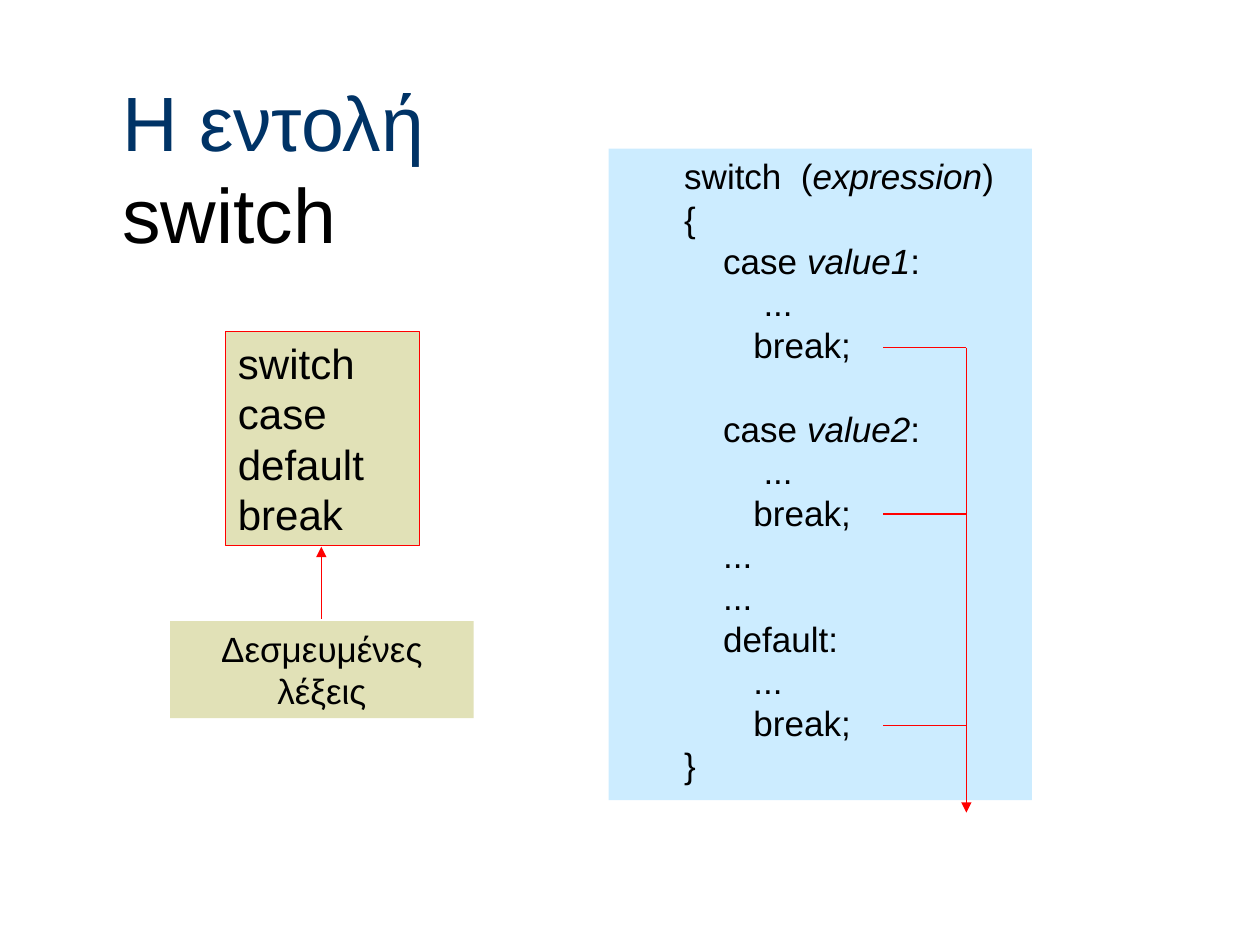
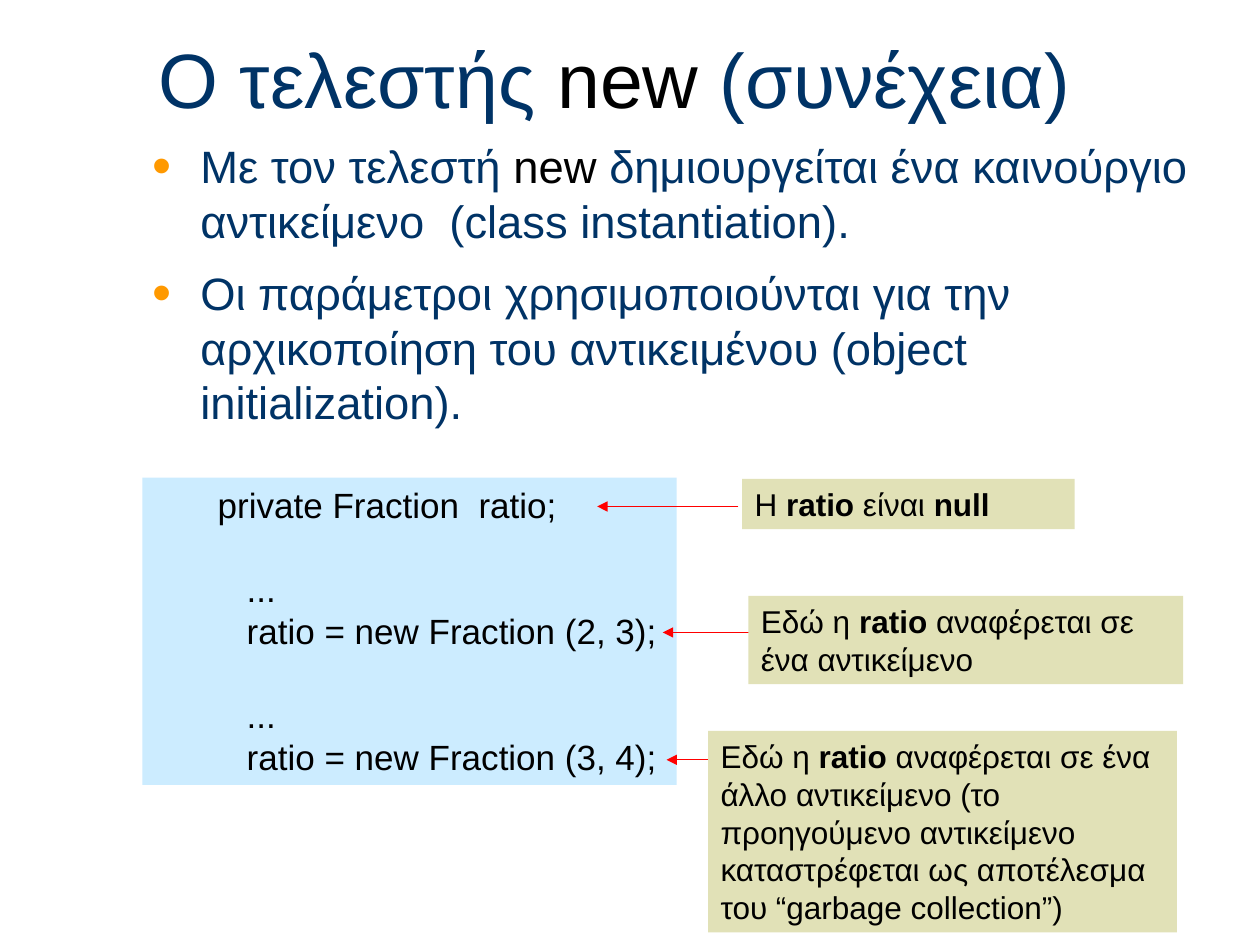
from lxml import etree
from pptx import Presentation
from pptx.dml.color import RGBColor
from pptx.enum.shapes import MSO_CONNECTOR, MSO_SHAPE
from pptx.enum.text import MSO_ANCHOR, MSO_AUTO_SIZE, PP_ALIGN
from pptx.oxml.ns import qn
from pptx.util import Inches, Pt

RECTANGLE, STRAIGHT = MSO_SHAPE.RECTANGLE, MSO_CONNECTOR.STRAIGHT
TOP, MIDDLE = MSO_ANCHOR.TOP, MSO_ANCHOR.MIDDLE
LEFT, CENTER = PP_ALIGN.LEFT, PP_ALIGN.CENTER
NO_AUTOFIT = MSO_AUTO_SIZE.NONE

# Shared look
FONT = "Arial"
NAVY, BLACK, RED, ORANGE = "003366", "000000", "FF0000", "FF9900"
CODE_FILL, NOTE_FILL = "CCECFF", "E1E1B7"
TITLE_SIZE, LIST_SIZE, CODE_SIZE, NOTE_SIZE, KEYWORD_SIZE = 44, 25.9, 20, 18, 24
LINE_HEIGHT = 1.2
BOLD, ITALIC, IN_BLACK = {"bold": True}, {"italic": True}, {"color": BLACK}


def rgb(value):
    return RGBColor.from_string(value)


def apply_format(target, values):
    for name, value in values.items():
        setattr(target, name, value)


def place(shape, box):
    names = ("left", "top", "width", "height")
    apply_format(shape, {name: Inches(value) for name, value in zip(names, box)})


def prepare_frame(shape, anchor=TOP):
    frame = shape.text_frame
    apply_format(frame, {
        "word_wrap": True, "auto_size": NO_AUTOFIT, "vertical_anchor": anchor,
        "margin_left": Inches(0.1), "margin_right": Inches(0.1),
        "margin_top": Inches(0.05), "margin_bottom": Inches(0.05),
    })
    return frame


def set_indent(paragraph, margin, hanging=0):
    properties = paragraph._p.get_or_add_pPr()
    properties.set("marL", str(Inches(margin)))
    properties.set("indent", str(Inches(-hanging)))
    return properties


def add_bullet(properties):
    color = etree.SubElement(properties, qn("a:buClr"))
    etree.SubElement(color, qn("a:srgbClr"), val=ORANGE)
    etree.SubElement(properties, qn("a:buSzPct"), val="120000")
    etree.SubElement(properties, qn("a:buFont"), typeface=FONT)
    etree.SubElement(properties, qn("a:buChar"), char="•")


def write_paragraph(paragraph, runs, size, color=BLACK, align=LEFT, before=0):
    """Write runs, each a plain string or a (text, format) pair."""
    apply_format(paragraph, {
        "alignment": align, "line_spacing": Pt(size * LINE_HEIGHT),
        "space_before": Pt(before), "space_after": Pt(0),
    })
    for item in runs:
        text, changes = (item, {}) if isinstance(item, str) else item
        values = {"name": FONT, "size": Pt(size), "bold": False,
                  "italic": False, "color": color, **changes}
        run = paragraph.add_run()
        run.text = text
        run.font.color.rgb = rgb(values.pop("color"))
        apply_format(run.font, values)


def paragraphs_for(frame, items):
    """Pair every item with a paragraph, starting with the existing one."""
    for index, item in enumerate(items):
        yield (frame.add_paragraph() if index else frame.paragraphs[0]), item


def add_titled_slide(presentation, box, title_runs):
    slide = presentation.slides.add_slide(presentation.slide_layouts[1])
    title = slide.shapes.title
    place(title, box)
    frame = prepare_frame(title, MIDDLE)
    write_paragraph(frame.paragraphs[0], title_runs, TITLE_SIZE, NAVY)
    return slide


def fill_list(shape, box, items):
    place(shape, box)
    for paragraph, runs in paragraphs_for(prepare_frame(shape), items):
        first = runs is items[0]
        write_paragraph(paragraph, runs, LIST_SIZE, NAVY, before=0 if first else 10.5)
        add_bullet(set_indent(paragraph, 0.38, 0.38))


def fill_code(shape, box, lines):
    """Write lines of (indent, runs, gap above counted in lines)."""
    place(shape, box)
    shape.fill.solid()
    shape.fill.fore_color.rgb = rgb(CODE_FILL)
    for paragraph, (indent, runs, gap) in paragraphs_for(prepare_frame(shape), lines):
        write_paragraph(paragraph, runs, CODE_SIZE, before=gap * CODE_SIZE * LINE_HEIGHT)
        etree.SubElement(set_indent(paragraph, indent), qn("a:buNone"))


def add_rectangle(slide, box, fill, outline=None):
    shape = slide.shapes.add_shape(RECTANGLE, *map(Inches, box))
    shape.shadow.inherit = False
    shape.fill.solid()
    shape.fill.fore_color.rgb = rgb(fill)
    if outline:
        shape.line.color.rgb = rgb(outline)
        shape.line.width = Pt(0.75)
    else:
        shape.line.fill.background()
    return shape


def add_note(slide, box, paragraphs, size=NOTE_SIZE, align=LEFT, outline=None):
    shape = add_rectangle(slide, box, NOTE_FILL, outline)
    for paragraph, runs in paragraphs_for(prepare_frame(shape), paragraphs):
        write_paragraph(paragraph, runs, size, align=align)


def add_line(slide, start, end, arrow=False):
    line = slide.shapes.add_connector(STRAIGHT, *map(Inches, start + end))
    line.line.color.rgb = rgb(RED)
    line.line.width = Pt(0.75)
    if arrow:
        etree.SubElement(line.line._get_or_add_ln(), qn("a:tailEnd"), type="triangle")
    etree.SubElement(line._element.spPr, qn("a:effectLst"))


def build_switch_slide(presentation):
    slide = add_titled_slide(presentation, (0.87, 0.7, 3.88, 1.25),
                             ["Η εντολή", (" switch", IN_BLACK)])

    # Code of the switch statement
    outer, label, statement, dots = 0.5, 0.81, 1.05, 1.13
    lines = [(outer, ["switch  (", ("expression", ITALIC), ")"], 0), (outer, ["{"], 0)]
    for value, gap in (("value1", 0), ("value2", 1)):
        lines += [(label, ["case ", (value, ITALIC), ":"], gap),
                  (dots, ["..."], 0), (statement, ["break;"], 0)]
    lines += [(label, [text], 0) for text in ("...", "...", "default:")]
    lines += [(statement, [text], 0) for text in ("...", "break;")]
    lines.append((outer, ["}"], 0))
    fill_code(slide.placeholders[1], (4.83, 1.18, 3.36, 5.17), lines)

    # Every break leads out of the block
    break_left, exit_x = 7.01, 7.67
    break_heights = (2.76, 4.08, 5.76)
    for y in break_heights:
        add_line(slide, (break_left, y), (exit_x, y))
    add_line(slide, (exit_x, break_heights[0]), (exit_x, 6.45), arrow=True)

    # Reserved words
    add_note(slide, (1.79, 2.63, 1.54, 1.7), [["switch case"], ["default"], ["break"]],
             KEYWORD_SIZE, outline=RED)
    add_note(slide, (1.35, 4.93, 2.41, 0.77), [["Δεσμευμένες λέξεις"]], CODE_SIZE, CENTER)
    add_line(slide, (2.55, 4.91), (2.55, 4.34), arrow=True)


def build_new_slide(presentation):
    slide = add_titled_slide(presentation, (1.16, 0.15, 8.5, 0.94),
                             ["O τελεστής ", ("new", IN_BLACK), " (συνέχεια)"])
    fill_list(slide.placeholders[1], (1.11, 1.05, 8.5, 2.55), [
        ["Με τον τελεστή ", ("new ", IN_BLACK),
         "δημιουργείται ένα καινούργιο αντικείμενο  (class instantiation)."],
        ["Οι παράμετροι χρησιμοποιούνται για την αρχικοποίηση του "
         "αντικειμένου (object initialization)."],
    ])

    # Code that declares and assigns the variable
    code_box = (1.13, 3.79, 4.24, 2.44)
    lines = [(0.5, ["private Fraction  ratio;"], 0)]
    for arguments in ("(2, 3)", "(3, 4)"):
        lines += [(0.73, ["..."], 1), (0.73, [f"ratio = new Fraction {arguments};"], 0)]
    fill_code(add_rectangle(slide, code_box, CODE_FILL), code_box, lines)

    # Notes, each with an arrow to its line of code
    ratio = ("ratio", BOLD)
    notes = [
        ((5.89, 3.8, 2.64, 0.4), ["Η", (" ratio", BOLD), " είναι ", ("null", BOLD)],
         (5.86, 4.02), 4.74),
        ((5.94, 4.73, 3.45, 0.7), ["Εδώ η ", ratio, " αναφέρεται σε ένα αντικείμενο"],
         (6.06, 5.02), 5.26),
        ((5.62, 5.8, 3.72, 1.6),
         ["Εδώ η ", ratio, " αναφέρεται σε ένα άλλο αντικείμενο (το προηγούμενο "
          "αντικείμενο καταστρέφεται ως αποτέλεσμα του “garbage collection”)"],
         (5.63, 6.03), 5.29),
    ]
    for box, runs, start, tip_x in notes:
        add_line(slide, start, (tip_x, start[1]), arrow=True)
        add_note(slide, box, [runs])


def main():
    presentation = Presentation()
    presentation.slide_width, presentation.slide_height = Inches(10), Inches(7.5)
    build_switch_slide(presentation)
    build_new_slide(presentation)
    presentation.save("out.pptx")


if __name__ == "__main__":
    main()
